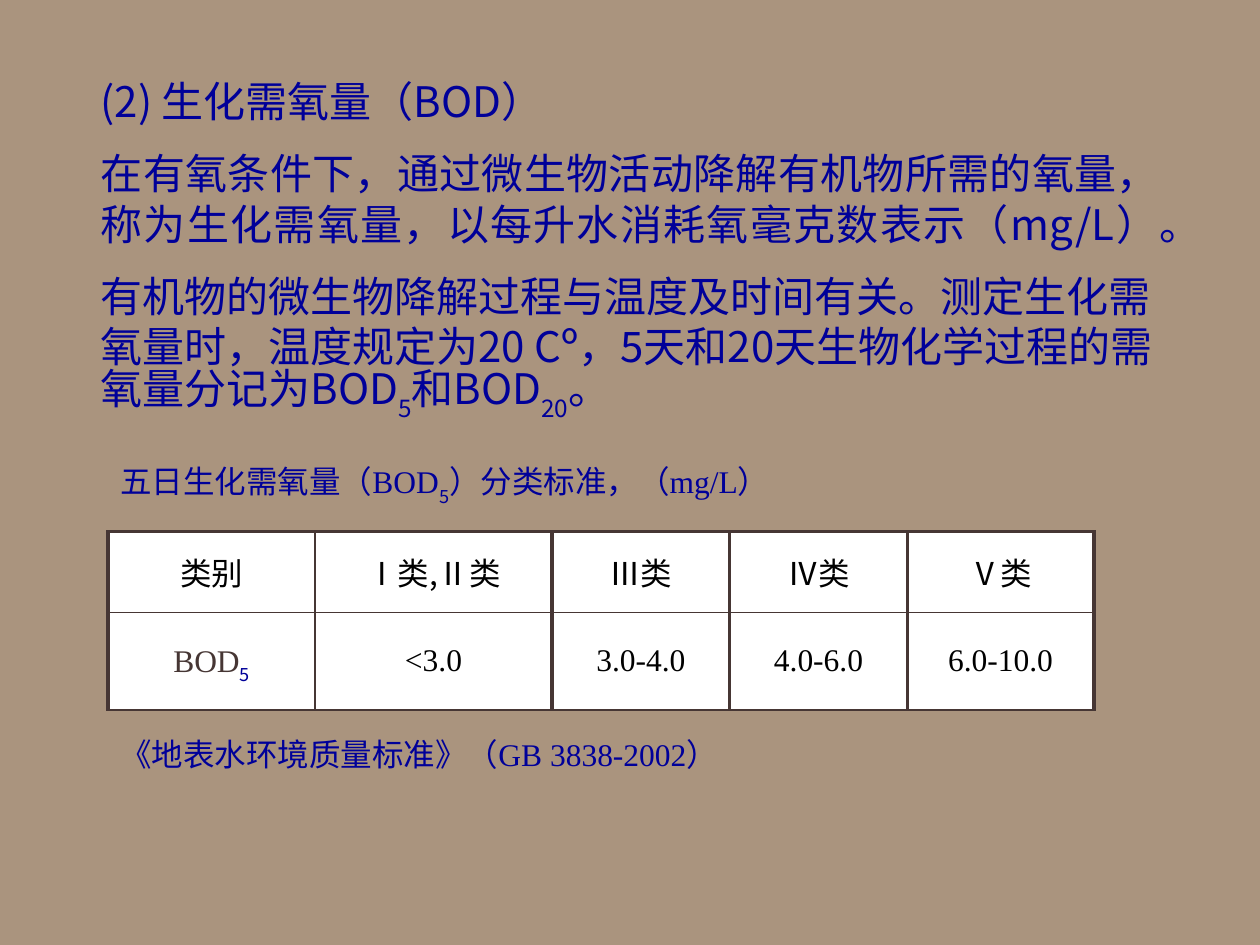
from lxml import etree
from pptx import Presentation
from pptx.dml.color import RGBColor
from pptx.enum.text import MSO_ANCHOR, PP_ALIGN
from pptx.oxml import parse_xml
from pptx.oxml.ns import qn
from pptx.util import Cm, Pt

CENTER, JUSTIFY, LEFT = PP_ALIGN.CENTER, PP_ALIGN.JUSTIFY, PP_ALIGN.LEFT
MIDDLE = MSO_ANCHOR.MIDDLE
NAVY, BROWN, BLACK, WHITE, TAN = "000099", "463634", "000000", "FFFFFF", "AA947E"
SANS, SERIF = "Noto Sans CJK SC", "Times New Roman"
DRAWING = "http://schemas.openxmlformats.org/drawingml/2006/main"
color = RGBColor.from_string


def add_runs(paragraph, runs, size, alignment):
    """Each run is text, Latin font, colour and whether it is a subscript."""
    paragraph.alignment = alignment
    for text, font_name, hex_color, subscript in runs:
        run = paragraph.add_run()
        run.text = text
        run.font.size = Pt(size)
        run.font.color.rgb = color(hex_color)
        run.font.name = font_name
        properties = run.font._element
        etree.SubElement(properties, qn("a:ea")).set("typeface", SANS)
        if subscript:
            properties.set("baseline", "-30000")


def add_text(slide, left, top, width, height, paragraphs, size, line_height):
    shape = slide.shapes.add_textbox(Cm(left), Cm(top), Cm(width), Cm(height))
    frame = shape.text_frame
    frame.word_wrap = True
    for index, (runs, alignment) in enumerate(paragraphs):
        paragraph = frame.add_paragraph() if index else frame.paragraphs[0]
        paragraph.line_spacing = Pt(line_height)
        if index:
            paragraph.space_before = Pt(size / 2)
        add_runs(paragraph, runs, size, alignment)


presentation = Presentation()
presentation.slide_width, presentation.slide_height = Cm(25.4), Cm(19.05)
slide = presentation.slides.add_slide(presentation.slide_layouts[6])
slide.background.fill.solid()
slide.background.fill.fore_color.rgb = color(TAN)

# Heading and explanation
body = [
    ([("(2) 生化需氧量（BOD）", SANS, NAVY, False)], JUSTIFY),
    ([("在有氧条件下，通过微生物活动降解有机物所需的氧量，"
       "称为生化需氧量，以每升水消耗氧毫克数表示（mg/L）。", SANS, NAVY, False)], JUSTIFY),
    ([("有机物的微生物降解过程与温度及时间有关。测定生化需氧量时，"
       "温度规定为20 Cº，5天和20天生物化学过程的需氧量分记为BOD", SANS, NAVY, False),
      ("5", SANS, NAVY, True),
      ("和BOD", SANS, NAVY, False),
      ("20", SANS, NAVY, True),
      ("。", SANS, NAVY, False)], LEFT),
]
add_text(slide, 1.78, 1.4, 21.84, 7.44, body, 24, 29)

# Table caption and source
caption = [("五日生化需氧量（BOD", SERIF, NAVY, False),
           ("5", SANS, NAVY, True),
           ("）分类标准", SERIF, NAVY, False),
           ("，", SANS, NAVY, False),
           ("（mg/L）", SERIF, NAVY, False)]
standard = [("《地表水环境质量标准》（GB 3838-2002）", SERIF, NAVY, False)]
add_text(slide, 2.18, 9.32, 19.25, 1.02, [(caption, LEFT)], 18, 22)
add_text(slide, 2.18, 14.68, 16, 1.02, [(standard, LEFT)], 18, 22)

# Classification table
categories = ["类别", "Ⅰ类,Ⅱ类", "Ⅲ类", "Ⅳ类", "Ⅴ类"]
limits = ["<3.0", "3.0-4.0", "4.0-6.0", "6.0-10.0"]
rows = [
    [[(text, SANS, BLACK, False)] for text in categories],
    [[("BOD", SERIF, BROWN, False), ("5", SANS, NAVY, True)]]
    + [[(text, SERIF, BLACK, False)] for text in limits],
]
column_widths = [4.17, 4.78, 3.58, 3.58, 3.76]
row_heights = [1.63, 1.96]
vertical_lines = [2.25, 1, 2.25, 2.25, 2.25, 2.25]
horizontal_lines = [2.25, 1, 1]

table = slide.shapes.add_table(
    len(rows), len(column_widths), Cm(2.18), Cm(10.72),
    Cm(sum(column_widths)), Cm(sum(row_heights))).table
for column, width in zip(table.columns, column_widths):
    column.width = Cm(width)
for row, height in zip(table.rows, row_heights):
    row.height = Cm(height)

for row_index, row in enumerate(rows):
    for column_index, runs in enumerate(row):
        cell = table.cell(row_index, column_index)
        cell.vertical_anchor = MIDDLE
        cell.margin_top = cell.margin_bottom = 0
        cell.fill.solid()
        cell.fill.fore_color.rgb = color(WHITE)
        add_runs(cell.text_frame.paragraphs[0], runs, 18, CENTER)
        borders = {"L": vertical_lines[column_index],
                   "R": vertical_lines[column_index + 1],
                   "T": horizontal_lines[row_index],
                   "B": horizontal_lines[row_index + 1]}
        properties = cell._tc.get_or_add_tcPr()
        for position, (side, width) in enumerate(borders.items()):
            properties.insert(position, parse_xml(
                f'<a:ln{side} xmlns:a="{DRAWING}" w="{Pt(width)}"><a:solidFill>'
                f'<a:srgbClr val="{BROWN}"/></a:solidFill></a:ln{side}>'))

presentation.save("out.pptx")
